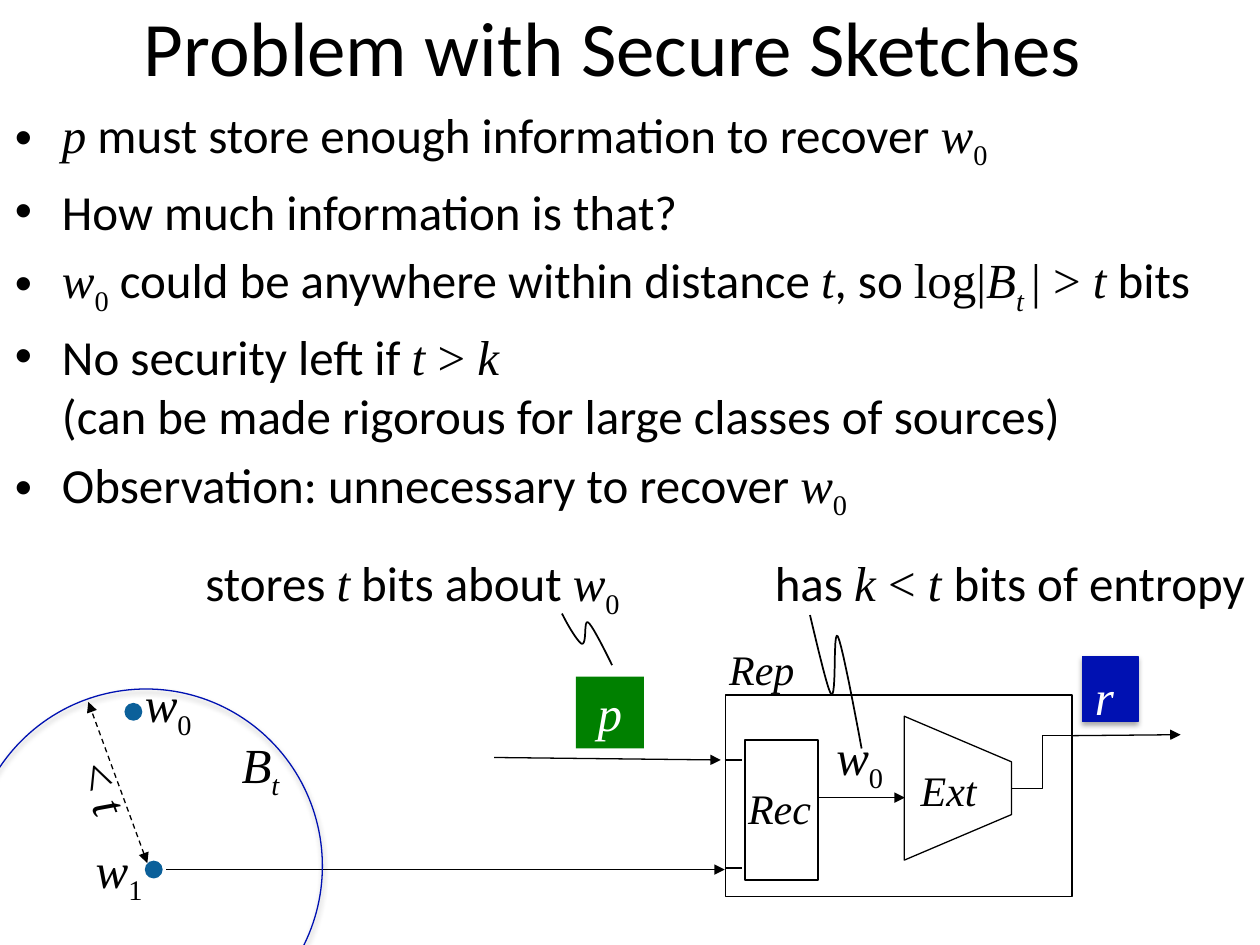
import pptx
import pptx.dml.color
import pptx.enum.dml
import pptx.enum.shapes
import pptx.enum.text
import pptx.oxml
import pptx.oxml.ns
import pptx.util
from pptx.util import Cm

RGBColor = pptx.dml.color.RGBColor
BLACK = RGBColor(0x00, 0x00, 0x00)
WHITE = RGBColor(0xFF, 0xFF, 0xFF)
GREEN = RGBColor(0x00, 0x80, 0x00)
BLUE = RGBColor(0x00, 0x11, 0xB2)
DOT_BLUE = RGBColor(0x0B, 0x60, 0x9A)

SHAPE = pptx.enum.shapes.MSO_SHAPE
CONNECTOR = pptx.enum.shapes.MSO_CONNECTOR
CENTER = pptx.enum.text.PP_ALIGN.CENTER
MIDDLE = pptx.enum.text.MSO_ANCHOR.MIDDLE

PLAIN = ("Calibri", False, False)
MATH = ("Times New Roman", True, False)
UPRIGHT = ("Times New Roman", False, False)
SUB = ("Times New Roman", False, True)
SUB_MATH = ("Times New Roman", True, True)
BREAK = ("\n", PLAIN)

W0 = [("w", MATH), ("0", SUB)]
W1 = [("w", MATH), ("1", SUB)]
T = ("t", MATH)

BULLETS = [
    [("p", MATH), (" must store enough information to recover ", PLAIN), *W0],
    [("How much information is that?", PLAIN)],
    [*W0, (" could be anywhere within distance ", PLAIN), T, (", so ", PLAIN),
     ("log|", UPRIGHT), ("B", MATH), ("t ", SUB_MATH), ("| > ", UPRIGHT), T,
     (" bits", PLAIN)],
    [("No security left if ", PLAIN), T, (" > ", UPRIGHT), ("k", MATH), BREAK,
     ("(can be made rigorous for large classes of sources)", PLAIN)],
    [("Observation: unnecessary to recover ", PLAIN), *W0],
]


def add_xml(parent, tag, content="", **attributes):
    listed = "".join(f' {name}="{value}"' for name, value in attributes.items())
    namespace = pptx.oxml.ns.nsdecls("a")
    element = pptx.oxml.parse_xml(
        f"<a:{tag} {namespace}{listed}>{content}</a:{tag}>")
    parent.append(element)


class Sketch:
    def __init__(self, page, line_width=0.75):
        self.page = page
        self.line_width = pptx.util.Pt(line_width)

    def add_spans(self, para, spans, size, color):
        for text, (font, italic, lowered) in spans:
            if text == "\n":
                para.add_line_break()
                continue
            span = para.add_run()
            span.text = text
            span.font.name = font
            span.font.size = pptx.util.Pt(size)
            span.font.italic = italic
            span.font.color.rgb = color
            if lowered:
                span.font._element.set("baseline", "-25000")

    def text(self, left, top, width, height, spans, size=28, color=BLACK,
             align=None, turn=0):
        box = self.page.shapes.add_textbox(Cm(left), Cm(top), Cm(width), Cm(height))
        box.rotation = turn
        box.text_frame.word_wrap = False
        para = box.text_frame.paragraphs[0]
        para.alignment = align
        self.add_spans(para, spans, size, color)
        return box

    def bullets(self, left, top, width, height, items):
        box = self.page.shapes.add_textbox(Cm(left), Cm(top), Cm(width), Cm(height))
        frame = box.text_frame
        frame.word_wrap = True
        for index, spans in enumerate(items):
            para = frame.add_paragraph() if index else frame.paragraphs[0]
            para.space_before = pptx.util.Pt(5.6 if index else 0)
            properties = para._p.get_or_add_pPr()
            properties.set("marL", str(Cm(0.95)))
            properties.set("indent", str(-Cm(0.95)))
            add_xml(properties, "buFont", typeface="Arial")
            add_xml(properties, "buChar", char="•")
            self.add_spans(para, spans, 28, BLACK)

    def shape(self, kind, left, top, width, height, fill=None, line=None,
              turn=0, shadow=False):
        shape = self.page.shapes.add_shape(
            kind, Cm(left), Cm(top), Cm(width), Cm(height))
        shape.rotation = turn
        self.paint(shape, fill, line)
        if shadow:
            effects = shape._element.spPr.find(pptx.oxml.ns.qn("a:effectLst"))
            add_xml(effects, "outerShdw",
                    '<a:srgbClr val="000000"><a:alpha val="35000"/></a:srgbClr>',
                    blurRad=pptx.util.Pt(3.1), dist=pptx.util.Pt(1.8),
                    dir=5400000, rotWithShape=0)
        return shape

    def paint(self, shape, fill, line):
        shape.shadow.inherit = False
        if fill is None:
            shape.fill.background()
        else:
            shape.fill.solid()
            shape.fill.fore_color.rgb = fill
        if line is None:
            shape.line.fill.background()
        else:
            shape.line.color.rgb = line
            shape.line.width = self.line_width

    def line(self, start, end, kind=CONNECTOR.STRAIGHT, head=False, tail=False,
             dashed=False):
        line = self.page.shapes.add_connector(
            kind, *(Cm(value) for value in (*start, *end)))
        line.line.color.rgb = BLACK
        line.line.width = self.line_width
        if dashed:
            line.line.dash_style = pptx.enum.dml.MSO_LINE.DASH
        outline = line.line._get_or_add_ln()
        if head:
            add_xml(outline, "headEnd", type="triangle")
        if tail:
            add_xml(outline, "tailEnd", type="triangle")
        add_xml(line._element.spPr, "effectLst")

    def squiggle(self, start, curves, steps=12):
        points = []
        origin = start
        for first, second, end in curves:
            for step in range(1, steps + 1):
                t = step / steps
                points.append(tuple(
                    Cm((1 - t) ** 3 * a + 3 * (1 - t) ** 2 * t * b
                       + 3 * (1 - t) * t ** 2 * c + t ** 3 * d)
                    for a, b, c, d in zip(origin, first, second, end)))
            origin = end
        builder = self.page.shapes.build_freeform(Cm(start[0]), Cm(start[1]))
        builder.add_line_segments(points, close=False)
        shape = builder.convert_to_shape()
        self.paint(shape, None, BLACK)
        shape.line.width = pptx.util.Pt(1)


def draw_extractor(sketch):
    sketch.shape(SHAPE.RECTANGLE, 14.62, 14.01, 6.99, 4.06, line=BLACK)
    sketch.text(14.45, 12.85, 2.13, 1.27, [("Rep", MATH)], 24)
    extractor = sketch.shape(SHAPE.TRAPEZOID, 17.86, 14.81, 2.9, 2.16,
                             line=BLACK, turn=90)
    extractor.adjustments[0] = 0.425
    sketch.text(18.31, 15.29, 1.93, 1.27, [("Ext", MATH)], 24)
    sketch.shape(SHAPE.RECTANGLE, 15.02, 14.92, 1.47, 2.82, line=BLACK)
    sketch.text(14.83, 15.65, 2.08, 1.65, [("Rec", MATH)], 24)
    for height in (15.32, 17.5):
        sketch.line((14.61, height), (14.96, height))
    sketch.line((21.62, 14.83), (20.4, 15.9), CONNECTOR.ELBOW)
    sketch.line((21.62, 14.83), (23.8, 14.81), tail=True)
    sketch.line((16.48, 16.08), (18.24, 16.08), tail=True)
    sketch.line((9.96, 15.27), (14.53, 15.32), tail=True)
    sketch.line((3.35, 17.53), (14.61, 17.53), tail=True)
    sketch.text(16.61, 14.53, 1.63, 1.45, W0)


def draw_ball(sketch):
    for left, top in ((2.92, 17.35), (2.51, 14.17)):
        sketch.shape(SHAPE.OVAL, left, top, 0.36, 0.36, fill=DOT_BLUE)
    sketch.text(2.67, 13.46, 1.63, 1.45, W0)
    sketch.text(1.68, 16.79, 1.63, 1.45, W1)
    sketch.line((2.97, 17.4), (1.78, 14.15), head=True, tail=True, dashed=True)
    sketch.text(1.3, 15.19, 1.65, 1.45, [("< ", UPRIGHT), T], turn=69.7)
    sketch.shape(SHAPE.OVAL, -0.61, 13.89, 7.11, 7.14, line=BLUE, shadow=True)
    sketch.text(4.62, 14.68, 1.42, 1.45, [("B", MATH), ("t", SUB_MATH)])


def draw_values(sketch):
    sketch.shape(SHAPE.RECTANGLE, 11.61, 13.64, 1.37, 1.45, fill=GREEN)
    sketch.text(11.61, 13.64, 1.37, 1.45, [("p", MATH)], color=WHITE, align=CENTER)
    sketch.shape(SHAPE.RECTANGLE, 21.82, 13.23, 1.12, 1.32, fill=BLUE, line=BLUE,
                 shadow=True)
    sketch.text(21.82, 13.31, 1.24, 1.45, [("r", MATH)], color=WHITE)
    sketch.text(3.89, 11.02, 9.09, 1.45,
                [("stores ", PLAIN), T, (" bits about ", PLAIN), *W0])
    sketch.squiggle((11.33, 12.37), [
        ((11.48, 12.67), (11.66, 12.95), (11.73, 12.98)),
        ((11.84, 13), (11.76, 12.47), (11.86, 12.55)),
        ((11.96, 12.62), (12.34, 13.41), (12.34, 13.41))])
    sketch.text(15.37, 11.02, 10.06, 1.45,
                [("has ", PLAIN), ("k", MATH), (" < ", UPRIGHT), ("t ", MATH),
                 ("bits of entropy", PLAIN)])
    sketch.squiggle((16.33, 12.4), [
        ((16.51, 13.16), (16.69, 13.92), (16.76, 14)),
        ((16.87, 14.07), (16.79, 12.65), (16.89, 12.83)),
        ((16.99, 13), (17.37, 15.09), (17.37, 15.09))])


def main():
    deck = pptx.Presentation()
    deck.slide_width, deck.slide_height = Cm(25.4), Cm(19.05)
    sketch = Sketch(deck.slides.add_slide(deck.slide_layouts[6]))
    title = sketch.text(-1.37, -0.28, 27.46, 2.39,
                        [("Problem with Secure Sketches", PLAIN)], 44, align=CENTER)
    title.text_frame.vertical_anchor = MIDDLE
    sketch.bullets(0.05, 1.98, 26.39, 6.53, BULLETS)
    draw_extractor(sketch)
    draw_ball(sketch)
    draw_values(sketch)
    deck.save("out.pptx")


if __name__ == "__main__":
    main()
